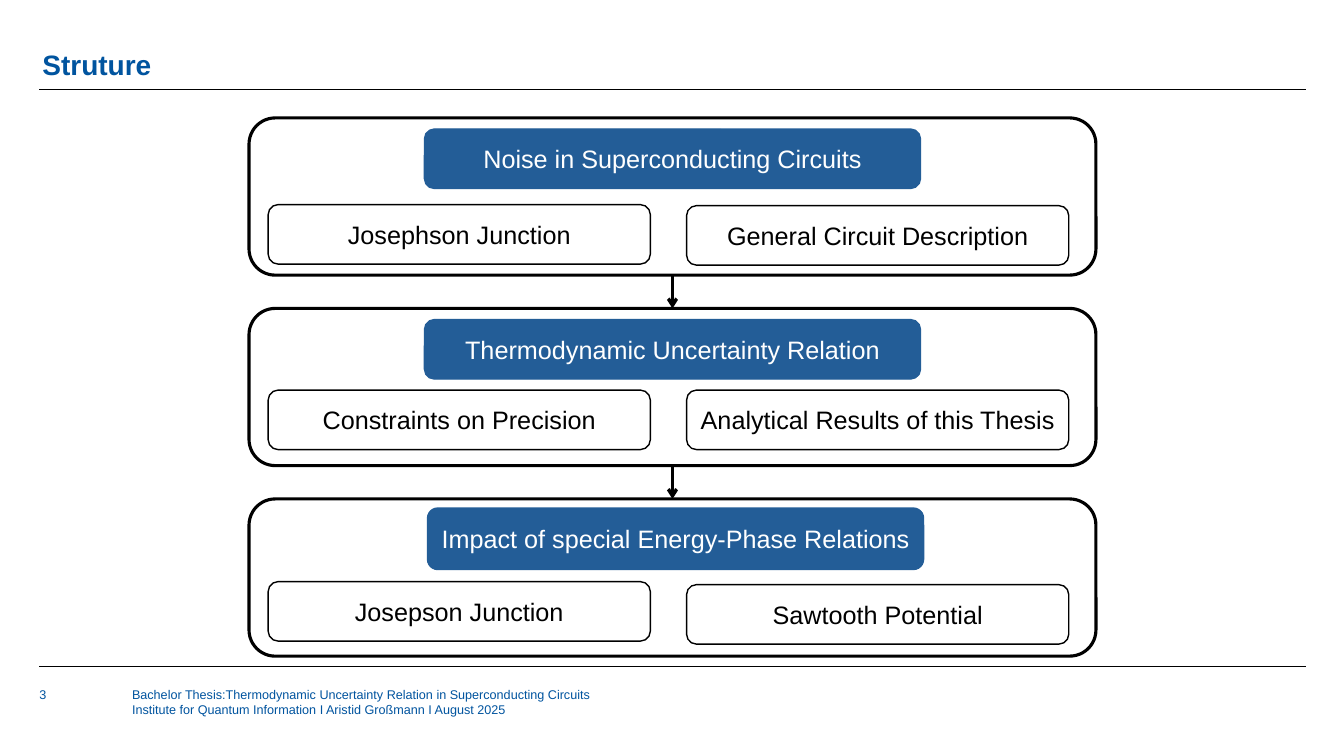
from lxml import etree
from pptx import Presentation
from pptx.dml.color import RGBColor
from pptx.enum.shapes import MSO_CONNECTOR, MSO_SHAPE
from pptx.enum.text import MSO_ANCHOR, PP_ALIGN
from pptx.oxml.ns import qn
from pptx.util import Inches, Pt

TITLE = "Struture"
PAGE_NUMBER = "3"
FOOTER = [
    "Bachelor Thesis:Thermodynamic Uncertainty Relation in Superconducting Circuits",
    "Institute for Quantum Information I Aristid Großmann I August 2025",
]
# Each box: text, left, top below its frame, width, height
SECTIONS = [
    {"heading": ("Noise in Superconducting Circuits", 4.21, 0.11, 4.92, 0.59),
     "topics": [("Josephson Junction", 2.66, 0.86, 3.79, 0.59),
                ("General Circuit Description", 6.81, 0.87, 3.79, 0.59)]},
    {"heading": ("Thermodynamic Uncertainty Relation", 4.21, 0.11, 4.92, 0.59),
     "topics": [("Constraints on Precision", 2.66, 0.81, 3.79, 0.59),
                ("Analytical Results of this Thesis", 6.81, 0.81, 3.79, 0.59)]},
    {"heading": ("Impact of special Energy-Phase Relations", 4.24, 0.09, 4.92, 0.61),
     "topics": [("Josepson Junction", 2.66, 0.82, 3.79, 0.59),
                ("Sawtooth Potential", 6.81, 0.85, 3.79, 0.59)]},
]

FONT = "Arial"
BLUE, HEADING_BLUE, BLACK, WHITE = "00549F", "235D97", "000000", "FFFFFF"
FRAME_LEFT, FRAME_TOP, FRAME_WIDTH, FRAME_HEIGHT = 2.47, 1.17, 8.4, 1.56
FRAME_GAP = 0.33
RULE_LEFT, RULE_RIGHT, RULE_TOPS = 0.39, 12.95, (0.89, 6.61)


def color(value):
    return RGBColor.from_string(value)


def write(shape, lines, size, text_color, bold=False, align=PP_ALIGN.LEFT,
          anchor=MSO_ANCHOR.TOP, inset=0, spacing=None):
    frame = shape.text_frame
    frame.word_wrap = True
    frame.vertical_anchor = anchor
    frame.margin_left = frame.margin_right = Inches(inset)
    frame.margin_top = frame.margin_bottom = Inches(inset)
    for index, line in enumerate(lines):
        paragraph = frame.add_paragraph() if index else frame.paragraphs[0]
        paragraph.alignment = align
        paragraph.line_spacing = spacing
        run = paragraph.add_run()
        run.text = line
        run.font.name = FONT
        run.font.size = Pt(size)
        run.font.bold = bold
        run.font.color.rgb = color(text_color)


def add_text(slide, box, lines, size, **options):
    write(slide.shapes.add_textbox(*map(Inches, box)), lines, size, BLUE, **options)


def add_rounded(slide, box, line_color, line_width, fill=None):
    shape = slide.shapes.add_shape(MSO_SHAPE.ROUNDED_RECTANGLE, *map(Inches, box))
    shape.shadow.inherit = False
    if fill:
        shape.fill.solid()
        shape.fill.fore_color.rgb = color(fill)
    else:
        shape.fill.background()
    shape.line.color.rgb = color(line_color)
    shape.line.width = Pt(line_width)
    return shape


def add_label(slide, label, frame_top, line_color, text_color, fill=None):
    text, left, offset, width, height = label
    shape = add_rounded(slide, (left, frame_top + offset, width, height), line_color, 1, fill)
    write(shape, [text], 18, text_color, align=PP_ALIGN.CENTER,
          anchor=MSO_ANCHOR.MIDDLE, inset=0.05)


def add_line(slide, start, end, width, arrow=False):
    connector = slide.shapes.add_connector(
        MSO_CONNECTOR.STRAIGHT, *map(Inches, (*start, *end)))
    connector.line.color.rgb = color(BLACK)
    connector.line.width = Pt(width)
    if arrow:
        etree.SubElement(connector.line._get_or_add_ln(), qn("a:tailEnd"), type="arrow")
    etree.SubElement(connector._element.spPr, qn("a:effectLst"))


def main():
    presentation = Presentation()
    presentation.slide_width = Inches(13.33)
    presentation.slide_height = Inches(7.5)
    slide = presentation.slides.add_slide(presentation.slide_layouts[6])

    add_text(slide, (0.42, 0.22, 12.56, 0.59), [TITLE], 20, bold=True,
             anchor=MSO_ANCHOR.BOTTOM, spacing=0.9)
    add_text(slide, (0.39, 6.81, 0.8, 0.43), [PAGE_NUMBER], 9)
    add_text(slide, (1.31, 6.81, 7.66, 0.69), FOOTER, 9)
    for top in RULE_TOPS:
        add_line(slide, (RULE_LEFT, top), (RULE_RIGHT, top), 0.5)

    center = FRAME_LEFT + FRAME_WIDTH / 2
    for index, section in enumerate(SECTIONS):
        top = FRAME_TOP + index * (FRAME_HEIGHT + FRAME_GAP)
        add_rounded(slide, (FRAME_LEFT, top, FRAME_WIDTH, FRAME_HEIGHT), BLACK, 2.25)
        add_label(slide, section["heading"], top, HEADING_BLUE, WHITE, HEADING_BLUE)
        for topic in section["topics"]:
            add_label(slide, topic, top, BLACK, BLACK)
        if index:
            add_line(slide, (center, top - FRAME_GAP), (center, top), 2.25, arrow=True)

    presentation.save("out.pptx")


if __name__ == "__main__":
    main()
